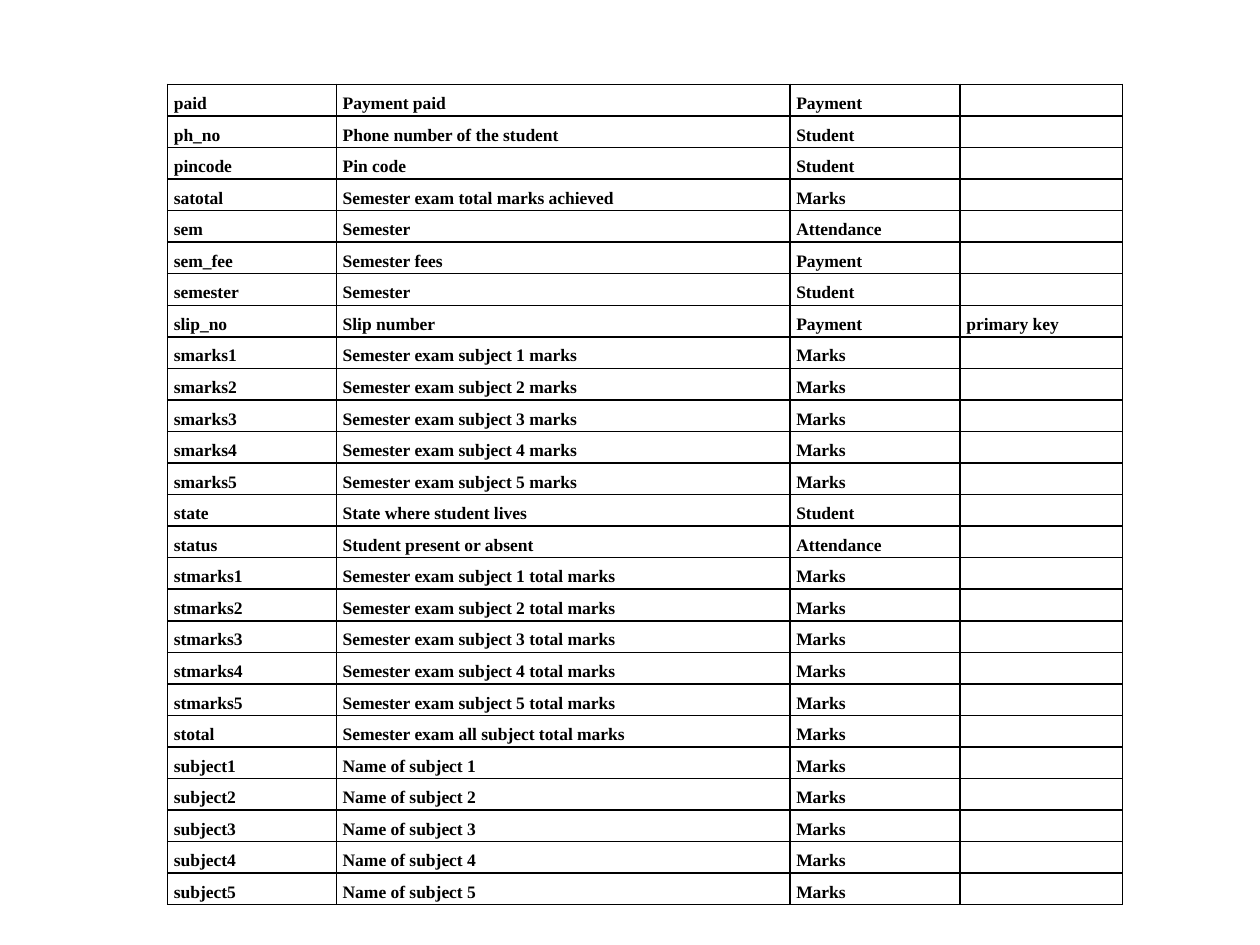
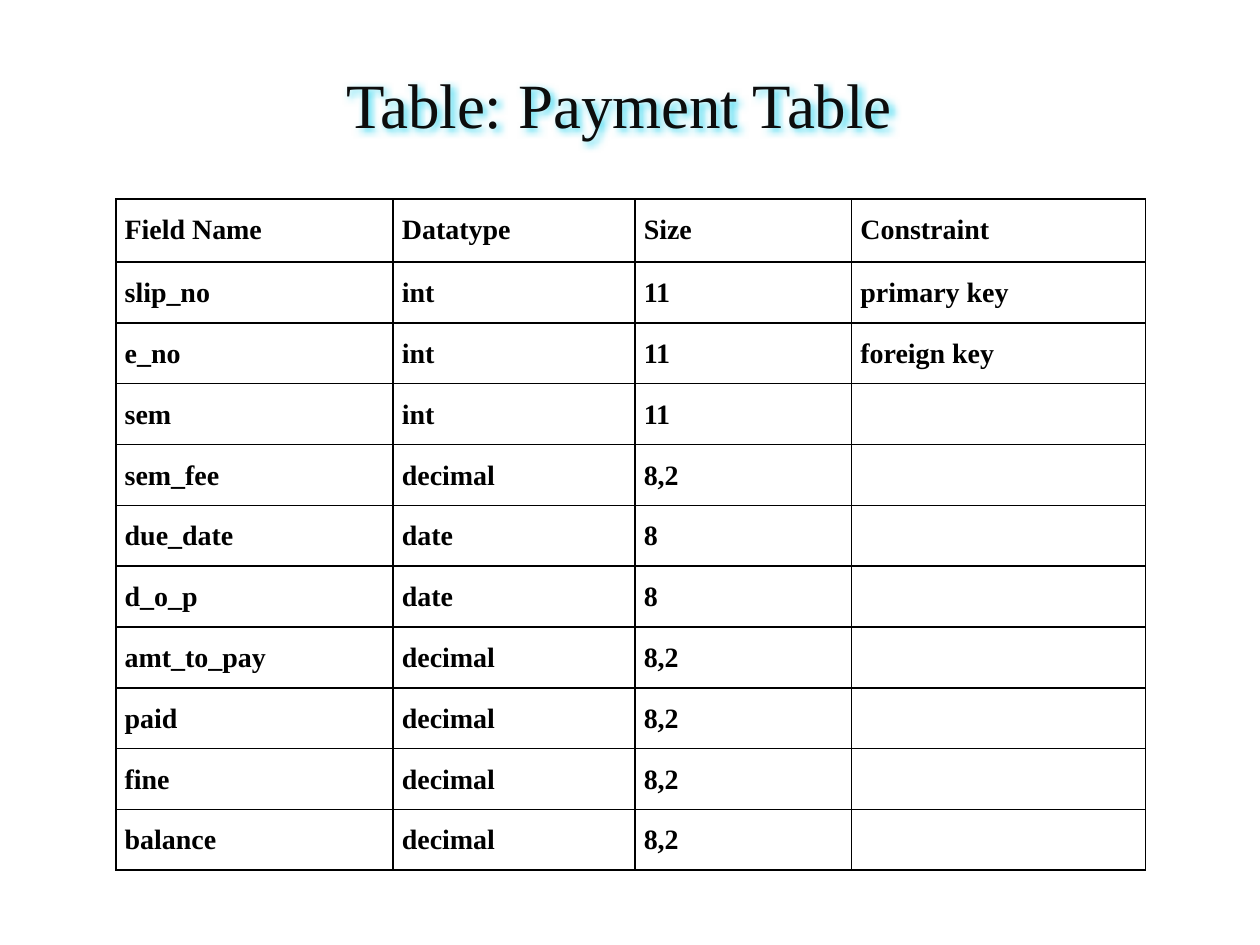
import dataclasses
import lxml.etree
import pptx
import pptx.dml.color
import pptx.enum.text
import pptx.oxml.ns
import pptx.util

INK = {"text": "000000", "title": "0D0D0D", "glow": "3FD8F0", "page": "FFFFFF"}
FONT = "Times New Roman"
WIDE, HIGH = pptx.util.Inches(10), pptx.util.Inches(7.5)
SPACE = 1.5
SIDES = ("L", "R", "T", "B")


@dataclasses.dataclass(frozen=True)
class Grid:
    left: float
    top: float
    cols: tuple[float, ...]
    heights: tuple[float, ...]
    size: int
    pad: float
    rows: list[tuple[str, ...]]


def series(name: str, label: str) -> list[tuple[str, ...]]:
    return [(f"{name}{n}", label.format(n), "Marks") for n in range(1, 6)]


FIELDS = [
    ("paid", "Payment paid", "Payment"),
    ("ph_no", "Phone number of the student", "Student"),
    ("pincode", "Pin code", "Student"),
    ("satotal", "Semester exam total marks achieved", "Marks"),
    ("sem", "Semester", "Attendance"),
    ("sem_fee", "Semester fees", "Payment"),
    ("semester", "Semester", "Student"),
    ("slip_no", "Slip number", "Payment", "primary key"),
    *series("smarks", "Semester exam subject {} marks"),
    ("state", "State where student lives", "Student"),
    ("status", "Student present or absent", "Attendance"),
    *series("stmarks", "Semester exam subject {} total marks"),
    ("stotal", "Semester exam all subject total marks", "Marks"),
    *series("subject", "Name of subject {}"),
]

PAYMENT = [
    ("Field Name", "Datatype", "Size", "Constraint"),
    ("slip_no", "int", "11", "primary key"),
    ("e_no", "int", "11", "foreign key"),
    ("sem", "int", "11"),
    ("sem_fee", "decimal", "8,2"),
    ("due_date", "date", "8"),
    ("d_o_p", "date", "8"),
    ("amt_to_pay", "decimal", "8,2"),
    ("paid", "decimal", "8,2"),
    ("fine", "decimal", "8,2"),
    ("balance", "decimal", "8,2"),
]

DETAIL = Grid(1.33, 0.67, (1.34, 3.6, 1.35, 1.29),
              (6.52 / len(FIELDS),) * len(FIELDS), 10, 0.05, FIELDS)
SCHEMA = Grid(0.92, 1.58, (2.2, 1.92, 1.72, 2.33),
              (0.5,) + (4.83 / (len(PAYMENT) - 1),) * (len(PAYMENT) - 1),
              16, 0.07, PAYMENT)


def add(parent, tag: str, **attrs: str):
    return lxml.etree.SubElement(parent, pptx.oxml.ns.qn(tag), attrs)


def style(font, size: int, tone: str, bold: bool) -> None:
    font.name = FONT
    font.size = pptx.util.Pt(size)
    font.bold = bold
    font.color.rgb = pptx.dml.color.RGBColor.from_string(INK[tone])


def edge(cell) -> None:
    props = cell._tc.get_or_add_tcPr()
    for side in SIDES:
        line = add(props, f"a:ln{side}", w=str(pptx.util.Pt(1)))
        add(add(line, "a:solidFill"), "a:srgbClr", val=INK["text"])


def write(cell, text: str, grid: Grid) -> None:
    cell.margin_left = cell.margin_right = pptx.util.Inches(grid.pad)
    cell.margin_top = cell.margin_bottom = 0
    edge(cell)
    cell.fill.background()
    para = cell.text_frame.paragraphs[0]
    if text:
        para.text = text
        para.line_spacing = SPACE
        style(para.runs[0].font, grid.size, "text", True)
    else:
        add(para._p, "a:endParaRPr", sz=str(grid.size * 100))


def draw(slide, grid: Grid) -> None:
    box = (grid.left, grid.top, sum(grid.cols), sum(grid.heights))
    frame = slide.shapes.add_table(len(grid.rows), len(grid.cols),
                                   *map(pptx.util.Inches, box))
    table = frame.table
    table.first_row = table.horz_banding = False
    for col, width in zip(table.columns, grid.cols):
        col.width = pptx.util.Inches(width)
    for row, height, texts in zip(table.rows, grid.heights, grid.rows):
        row.height = pptx.util.Inches(height)
        for n, cell in enumerate(row.cells):
            write(cell, texts[n] if n < len(texts) else "", grid)


def head(slide, text: str) -> None:
    title = slide.shapes.title
    title.left, title.top = int(WIDE * 0.058), int(HIGH * 0.056)
    title.width, title.height = int(WIDE * 0.867), int(HIGH * 0.157)
    title.fill.background()
    frame = title.text_frame
    frame.text = text
    frame.word_wrap = True
    frame.auto_size = pptx.enum.text.MSO_AUTO_SIZE.NONE
    frame.vertical_anchor = pptx.enum.text.MSO_ANCHOR.TOP
    frame.margin_top = pptx.util.Inches(0.1)
    para = frame.paragraphs[0]
    para.alignment = pptx.enum.text.PP_ALIGN.CENTER
    style(para.runs[0].font, 36, "title", False)
    glow = add(add(title._element.spPr, "a:effectLst"), "a:outerShdw",
               blurRad=str(pptx.util.Pt(4)), dist=str(pptx.util.Pt(2)),
               dir="2700000", algn="tl", rotWithShape="0")
    add(glow, "a:srgbClr", val=INK["glow"])


def page(deck, layout: int):
    slide = deck.slides.add_slide(deck.slide_layouts[layout])
    fill = slide.background.fill
    fill.solid()
    fill.fore_color.rgb = pptx.dml.color.RGBColor.from_string(INK["page"])
    return slide


def main() -> None:
    deck = pptx.Presentation()
    deck.slide_width, deck.slide_height = WIDE, HIGH
    draw(page(deck, 6), DETAIL)
    slide = page(deck, 5)
    draw(slide, SCHEMA)
    head(slide, "Table: Payment Table")
    deck.save("out.pptx")


if __name__ == "__main__":
    main()
